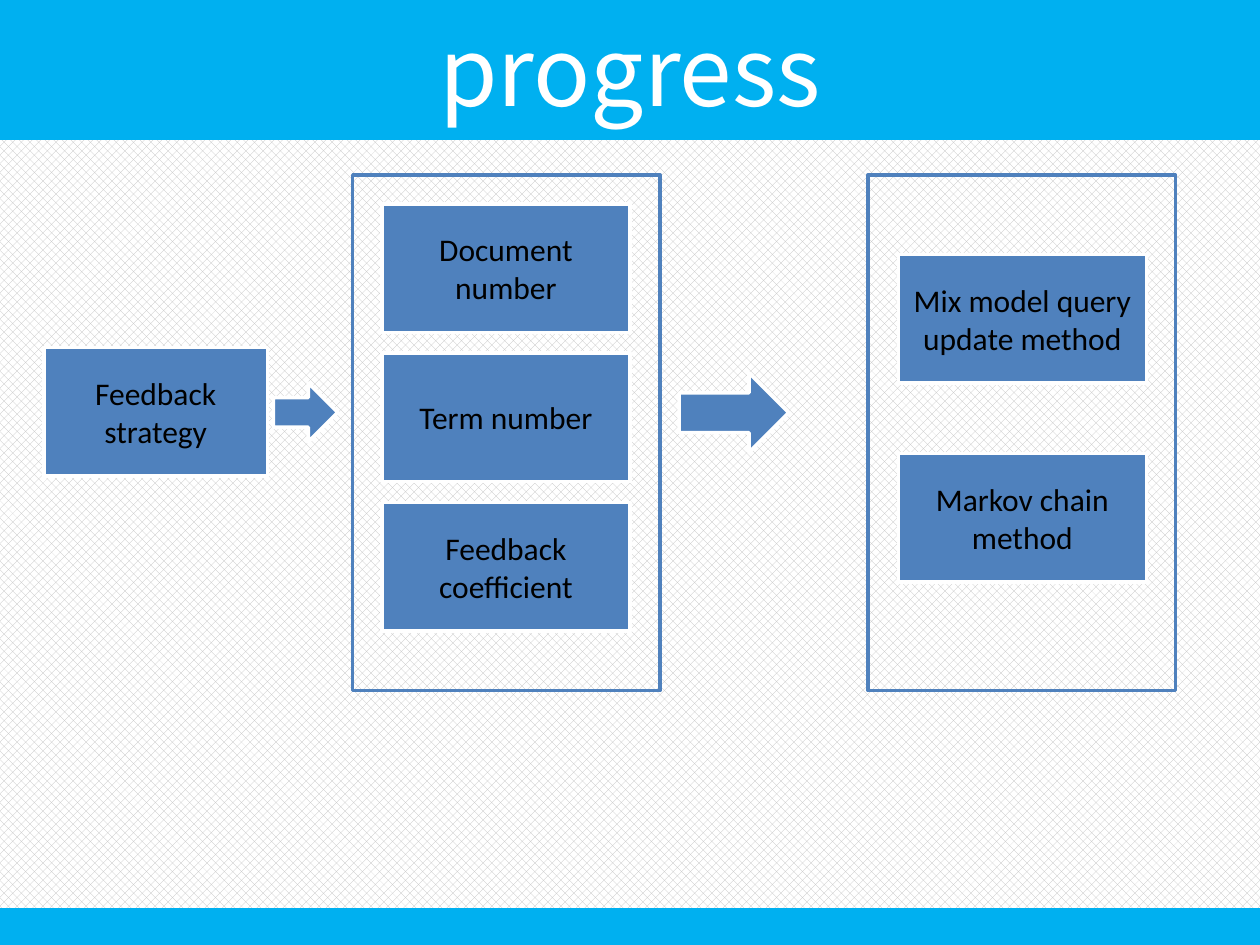
from pptx import Presentation
from pptx.dml.color import RGBColor
from pptx.enum.dml import MSO_PATTERN
from pptx.enum.shapes import MSO_SHAPE
from pptx.enum.text import MSO_ANCHOR, PP_ALIGN
from pptx.util import Cm, Pt

SKY = RGBColor(0x00, 0xB0, 0xF0)
BLUE = RGBColor(0x4F, 0x81, 0xBD)
WHITE = RGBColor(0xFF, 0xFF, 0xFF)
BLACK = RGBColor(0x00, 0x00, 0x00)
GREY = RGBColor(0xBF, 0xBF, 0xBF)

deck = Presentation()
deck.slide_width = Cm(25.4)
deck.slide_height = Cm(19.05)
page = deck.slides.add_slide(deck.slide_layouts[6])

backdrop = page.background.fill
backdrop.patterned()
backdrop.pattern = MSO_PATTERN.PERCENT_50
backdrop.fore_color.rgb = GREY
backdrop.back_color.rgb = WHITE


def add_block(kind, left, top, width, height, fill, line, weight=2):
    shape = page.shapes.add_shape(kind, Cm(left), Cm(top), Cm(width), Cm(height))
    shape.shadow.inherit = False
    if fill is None:
        shape.fill.background()
    else:
        shape.fill.solid()
        shape.fill.fore_color.rgb = fill
    if line is None:
        shape.line.fill.background()
    else:
        shape.line.color.rgb = line
        shape.line.width = Pt(weight)
    return shape


def write(shape, text, size, font, color):
    frame = shape.text_frame
    frame.text = text
    frame.word_wrap = True
    frame.vertical_anchor = MSO_ANCHOR.MIDDLE
    para = frame.paragraphs[0]
    para.alignment = PP_ALIGN.CENTER
    span = para.runs[0]
    span.font.size = Pt(size)
    span.font.name = font
    span.font.color.rgb = color


title = add_block(MSO_SHAPE.RECTANGLE, 0, 0, 25.4, 2.79, SKY, SKY, 1.5)
write(title, "progress", 54, "Noto Sans CJK JP", WHITE)
add_block(MSO_SHAPE.RECTANGLE, 0, 18.31, 25.4, 0.79, SKY, None)

columns = [
    (0.89, 7.01, 4.5, 0, ["Feedback strategy"]),
    (7.7, 4.11, 5, 3.01, ["Document number", "Term number", "Feedback coefficient"]),
    (18.11, 5.13, 5, 4.01, ["Mix model query update method", "Markov chain method"]),
]
for left, top, width, pitch, labels in columns:
    for row, label in enumerate(labels):
        box = add_block(MSO_SHAPE.RECTANGLE, left, top + row * pitch, width, 2.59, BLUE, WHITE)
        write(box, label, 18, "Calibri", BLACK)

for left in (7.11, 17.5):
    add_block(MSO_SHAPE.RECTANGLE, left, 3.53, 6.2, 10.39, None, BLUE)

for left, top, width, height in ((5.51, 7.72, 1.3, 1.19), (13.69, 7.52, 2.21, 1.6)):
    add_block(MSO_SHAPE.RIGHT_ARROW, left, top, width, height, BLUE, WHITE)

deck.save("out.pptx")
